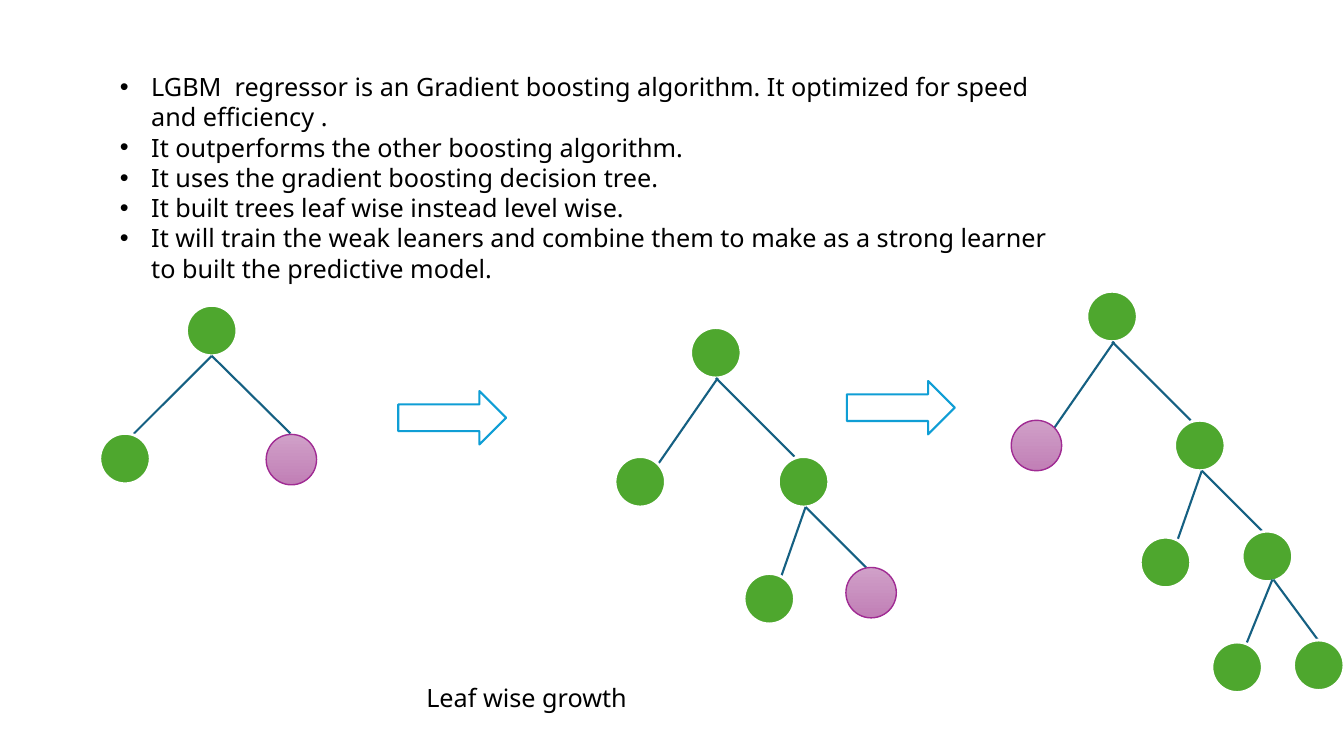
from pptx import Presentation
from pptx.dml.color import RGBColor
from pptx.enum.shapes import MSO_CONNECTOR, MSO_SHAPE
from pptx.enum.text import MSO_AUTO_SIZE as AutoSize
from pptx.oxml.xmlchemy import OxmlElement as new_element
from pptx.util import Inches, Pt

# Grid: one column and one row are each as wide as a tree node
CELL = Inches(0.5)

GREEN, WHITE, BLACK = "4EA72E", "FFFFFF", "000000"
EDGE, ARROW = "156082", "0F9ED5"
PINK_TOP, PINK_BOTTOM, PINK_LINE = "D0A0C8", "C17FB6", "A02B93"

BULLETS = [
    "LGBM  regressor is an Gradient boosting algorithm. It optimized for speed and efficiency .",
    "It outperforms the other boosting algorithm.",
    "It uses the gradient boosting decision tree.",
    "It built trees leaf wise instead level wise.",
    "It will train the weak leaners and combine them to make as a strong learner "
    "to built the predictive model.",
]

# Each fork has a left and a right branch: (edge start, edge end, child),
# in cells from the top left corner of the parent node
FIRST_FORK = [((0.5, 1), (-1.06, 2.56), (-1.72, 2.54)),
              ((0.5, 1), (2.06, 2.54), (1.58, 2.56))]
WIDE_FORK = [((0.54, 1), (-0.64, 2.7), (-1.5, 2.56)),
             ((0.5, 1), (2.06, 2.56), (1.74, 2.56))]
NARROW_FORK = [((0.54, 1), (0, 2.54), (-0.68, 2.32)),
               ((0.54, 1), (1.74, 2.2), (1.34, 2.2))]
LAST_FORK = [((0.6, 0.96), (0, 2.44), (-0.6, 2.2)),
             ((0.62, 0.96), (1.52, 2.18), (1.02, 2.16))]

# Root position, forks from the root down, pink node as (fork, side)
TREES = [
    ((3.7, 6.06), [FIRST_FORK], (0, 1)),
    ((13.7, 6.5), [WIDE_FORK, NARROW_FORK], (1, 1)),
    ((21.56, 5.78), [WIDE_FORK, NARROW_FORK, LAST_FORK], (0, 0)),
]
ARROWS = [(7.9, 7.76, 2.14, 1.06), (16.8, 7.56, 2.14, 1.06)]


def cells(*lengths):
    return [round(length * CELL) for length in lengths]


def color(hex_string):
    return RGBColor.from_string(hex_string)


def shifted(origin, offset):
    return origin[0] + offset[0], origin[1] + offset[1]


def write(paragraph, text, size=18, font="Noto Sans", fill=BLACK, spacing=21.6, indent=0):
    run = paragraph.add_run()
    run.text = text
    run.font.size = Pt(size)
    run.font.name = font
    run.font.color.rgb = color(fill)
    paragraph.space_before = Pt(0)
    paragraph.line_spacing = Pt(spacing)
    if indent:
        properties = paragraph._p.get_or_add_pPr()
        properties.set("marL", str(Inches(indent)))
        properties.set("indent", str(-Inches(indent)))


def add_outlined(slide, kind, box, fill, line, width):
    shape = slide.shapes.add_shape(kind, *cells(*box))
    shape.shadow.inherit = False
    if isinstance(fill, tuple):
        shape.fill.gradient()
        shape.fill.gradient_angle = 270
        for stop, shade in zip(shape.fill.gradient_stops, fill):
            stop.color.rgb = color(shade)
    else:
        shape.fill.solid()
        shape.fill.fore_color.rgb = color(fill)
    shape.line.color.rgb = color(line)
    shape.line.width = Pt(width)


def add_node(slide, position, highlighted=False):
    look = ((PINK_TOP, PINK_BOTTOM), PINK_LINE, 1) if highlighted else (GREEN, WHITE, 2)
    add_outlined(slide, MSO_SHAPE.FLOWCHART_CONNECTOR, (*position, 1, 1), *look)


def add_edge(slide, start, end):
    edge = slide.shapes.add_connector(MSO_CONNECTOR.STRAIGHT, *cells(*start, *end))
    edge.line.color.rgb = color(EDGE)
    edge.line.width = Pt(1.5)
    edge._element.spPr.append(new_element("a:effectLst"))


def add_tree(slide, root, forks, pink):
    """Draw a root and let the right child of each fork carry the next one."""
    add_node(slide, root)
    parent = root
    for level, fork in enumerate(forks):
        for side, (start, end, child) in enumerate(fork):
            add_edge(slide, shifted(parent, start), shifted(parent, end))
            add_node(slide, shifted(parent, child), (level, side) == pink)
        parent = shifted(parent, fork[-1][-1])


def add_bullets(slide, box):
    body = slide.placeholders[1]
    body.left, body.top, body.width, body.height = cells(*box)
    frame = body.text_frame
    frame.auto_size = AutoSize.NONE
    for index, text in enumerate(BULLETS):
        paragraph = frame.add_paragraph() if index else frame.paragraphs[0]
        write(paragraph, text, indent=0.31)


def add_caption(slide, box):
    frame = slide.shapes.add_textbox(*cells(*box)).text_frame
    frame.word_wrap = True
    write(frame.paragraphs[0], "Leaf wise growth")


def main():
    presentation = Presentation()
    presentation.slide_width, presentation.slide_height = Inches(13.33), Inches(7.5)
    slide = presentation.slides.add_slide(presentation.slide_layouts[1])
    title = slide.shapes.title._element
    title.getparent().remove(title)

    # Text above, growing trees with arrows between them, caption below
    add_bullets(slide, (2.18, 1.32, 19.06, 5.04))
    for tree in TREES:
        add_tree(slide, *tree)
    for box in ARROWS:
        add_outlined(slide, MSO_SHAPE.RIGHT_ARROW, box, WHITE, ARROW, 1.5)
    add_caption(slide, (8.26, 13.44, 4.94, 0.8))

    presentation.save("out.pptx")


if __name__ == "__main__":
    main()
